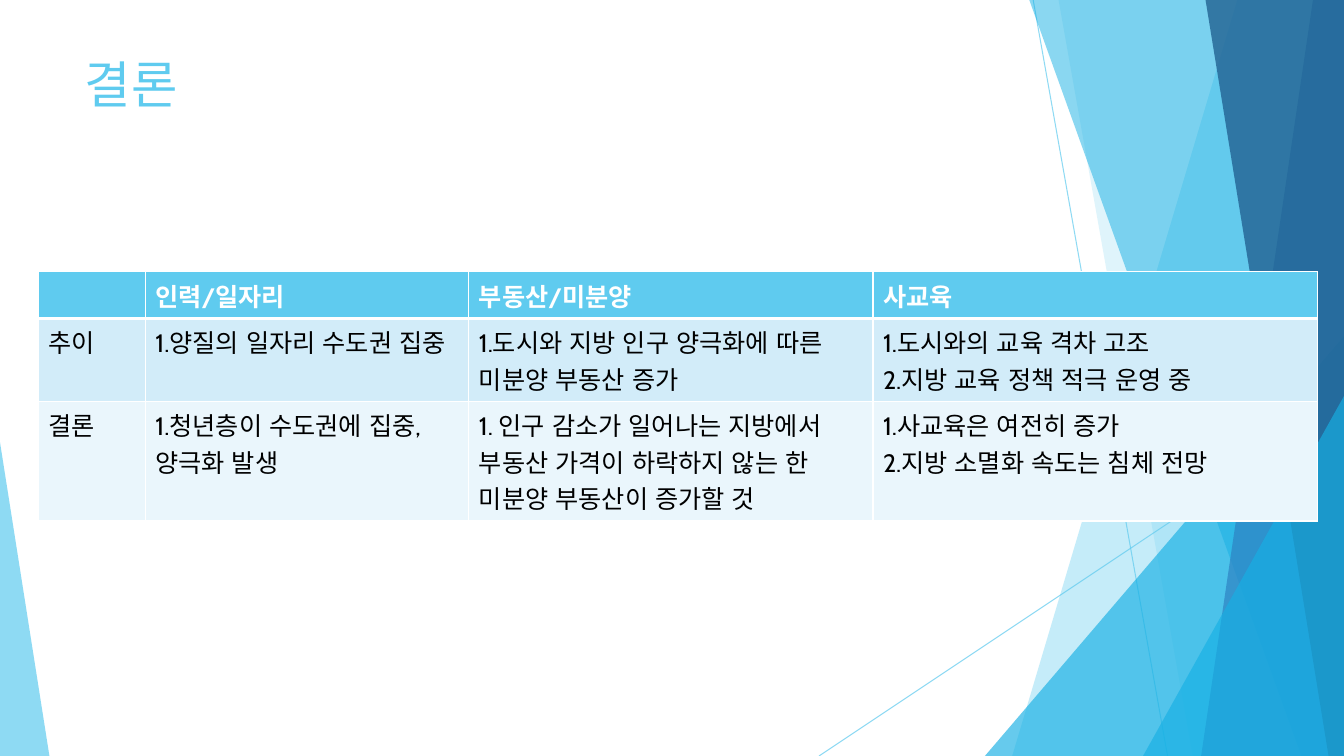
"""Build the conclusion slide: a title and a table over blue facets."""
from pptx import Presentation
from pptx.dml.color import RGBColor
from pptx.enum import lang, shapes, text
from pptx.oxml import ns, xmlchemy
from pptx.util import Pt

SKY = RGBColor(0x5F, 0xCB, 0xEF)
CYAN = RGBColor(0x17, 0xB0, 0xE4)
BLUE = RGBColor(0x2E, 0x83, 0xC3)
NAVY = RGBColor(0x22, 0x62, 0x92)
PALE = RGBColor(0xD2, 0xEC, 0xF9)
MIST = RGBColor(0xEA, 0xF6, 0xFC)
WHITE = RGBColor(0xFF, 0xFF, 0xFF)
BLACK = RGBColor(0, 0, 0)

FONT = "Cabin"
WIDE, HIGH, TOP = 960, 540, -0.7

RAYS = [(738, 0, 834, HIGH), (WIDE, 290, 585, HIGH)]
FACETS = [
    ("wedge", (884, 723), SKY, 36),
    ("wedge", (756, 852), SKY, 20),
    ("peak", (703.5, 240, 256.5, 1), CYAN, 66),
    ("wedge", (735, 929.5), CYAN, 50),
    ("wedge", (938, 858), BLUE, 70),
    ("wedge", (861, 949), NAVY, 80),
    ("peak", (816.5, 283, 143.5, 1), CYAN, 66),
    ("peak", (0, 316, 35.3, 0), SKY, 70),
]
COLS = [76.3, 231.1, 288.7, 317.5]
ROWS = [29.5, 33.8, 29.5]
FILLS = [SKY, PALE, MIST]
CELLS = [
    ["", "인력/일자리", "부동산/미분양", "사교육"],
    ["추이", "1.양질의 일자리 수도권 집중",
     "1.도시와 지방 인구 양극화에 따른 미분양 부동산 증가",
     "1.도시와의 교육 격차 고조\n2.지방 교육 정책 적극 운영 중"],
    ["결론", "1.청년층이 수도권에 집중, 양극화 발생",
     "1. 인구 감소가 일어나는 지방에서 부동산 가격이 하락하지 않는 한 "
     "미분양 부동산이 증가할 것",
     "1.사교육은 여전히 증가\n2.지방 소멸화 속도는 침체 전망"],
]


def add(node, tag, **attrs):
    """Append a child element to a node and return it."""
    child = xmlchemy.OxmlElement(tag)
    for key, val in attrs.items():
        child.set(key, str(val))
    node.append(child)
    return child


def fade(node, alpha):
    """Set the opacity, in percent, of the first colour in a node."""
    tone = next(node.iter(ns.qn("a:srgbClr")))
    add(tone, "a:alpha", val=alpha * 1000)


def write(frame, words, size=18, color=BLACK, bold=False, east=None):
    """Put text in a frame with one format for all its lines."""
    frame.text = words
    for para in frame.paragraphs:
        para.alignment = text.PP_ALIGN.LEFT
        for run in para.runs:
            font = run.font
            font.size, font.bold, font.name = Pt(size), bold, FONT
            font.color.rgb = color
            font.language_id = lang.MSO_LANGUAGE_ID.KOREAN
            if east:
                add(font._element, "a:ea", typeface=east)


def ray(slide, ends):
    """Draw a thin, half clear line."""
    line = slide.shapes.add_connector(
        shapes.MSO_CONNECTOR.STRAIGHT, *[Pt(n) for n in ends])
    line.line.width = Pt(0.75)
    line.line.color.rgb = SKY
    fade(line.line._ln, 70)
    add(line.element.spPr, "a:effectLst")


def wedge(slide, head, foot):
    """Draw a slab from a slanted left edge to the slide's right edge."""
    pen = slide.shapes.build_freeform(Pt(head), Pt(TOP))
    pen.add_line_segments([(Pt(x), Pt(y)) for x, y in
                           [(WIDE, TOP), (WIDE, HIGH), (foot, HIGH)]])
    return pen.convert_to_shape()


def peak(slide, left, top, width, tip):
    """Draw a triangle that stands on the slide's bottom edge."""
    shape = slide.shapes.add_shape(
        shapes.MSO_SHAPE.ISOSCELES_TRIANGLE,
        Pt(left), Pt(top), Pt(width), Pt(HIGH - top))
    shape.adjustments[0] = tip
    return shape


def facet(slide, kind, place, color, alpha):
    """Draw one clear facet of the backdrop."""
    draw = wedge if kind == "wedge" else peak
    shape = draw(slide, *place)
    shape.shadow.inherit = False
    shape.line.fill.background()
    shape.fill.solid()
    shape.fill.fore_color.rgb = color
    fade(shape.element.spPr, alpha)


def head(slide, words):
    """Place and fill the title above the backdrop."""
    title = slide.shapes.title
    title.left, title.top = Pt(53.3), Pt(34.6)
    title.width, title.height = Pt(677), Pt(104)
    frame = title.text_frame
    frame.word_wrap = True
    frame.auto_size = text.MSO_AUTO_SIZE.NONE
    frame.vertical_anchor = text.MSO_ANCHOR.TOP
    write(frame, words, size=36, color=SKY, east=FONT)
    slide.shapes.element.append(title.element)


def edge(cell, row):
    """Give a cell white borders, thick under the header row."""
    thick = {(0, "B"), (1, "T")}
    for side in "LRTB":
        width = 3 if (row, side) in thick else 1
        line = add(cell._tc.get_or_add_tcPr(), "a:ln" + side, w=Pt(width))
        add(add(line, "a:solidFill"), "a:srgbClr", val=WHITE)


def grid(slide):
    """Draw the table of trends and conclusions."""
    table = slide.shapes.add_table(
        len(ROWS), len(COLS), Pt(27.5), Pt(194.2),
        Pt(sum(COLS)), Pt(sum(ROWS))).table
    for col, width in zip(table.columns, COLS):
        col.width = Pt(width)
    for i, (row, height) in enumerate(zip(table.rows, ROWS)):
        row.height = Pt(height)
        top = i == 0
        for cell, words in zip(row.cells, CELLS[i]):
            edge(cell, i)
            cell.fill.solid()
            cell.fill.fore_color.rgb = FILLS[i]
            write(cell.text_frame, words, bold=top,
                  color=WHITE if top else BLACK)


def main():
    """Build and save the slide."""
    deck = Presentation()
    deck.slide_width, deck.slide_height = Pt(WIDE), Pt(HIGH)
    slide = deck.slides.add_slide(deck.slide_layouts[5])
    for ends in RAYS:
        ray(slide, ends)
    for item in FACETS:
        facet(slide, *item)
    head(slide, "결론")
    grid(slide)
    deck.save("out.pptx")


if __name__ == "__main__":
    main()
